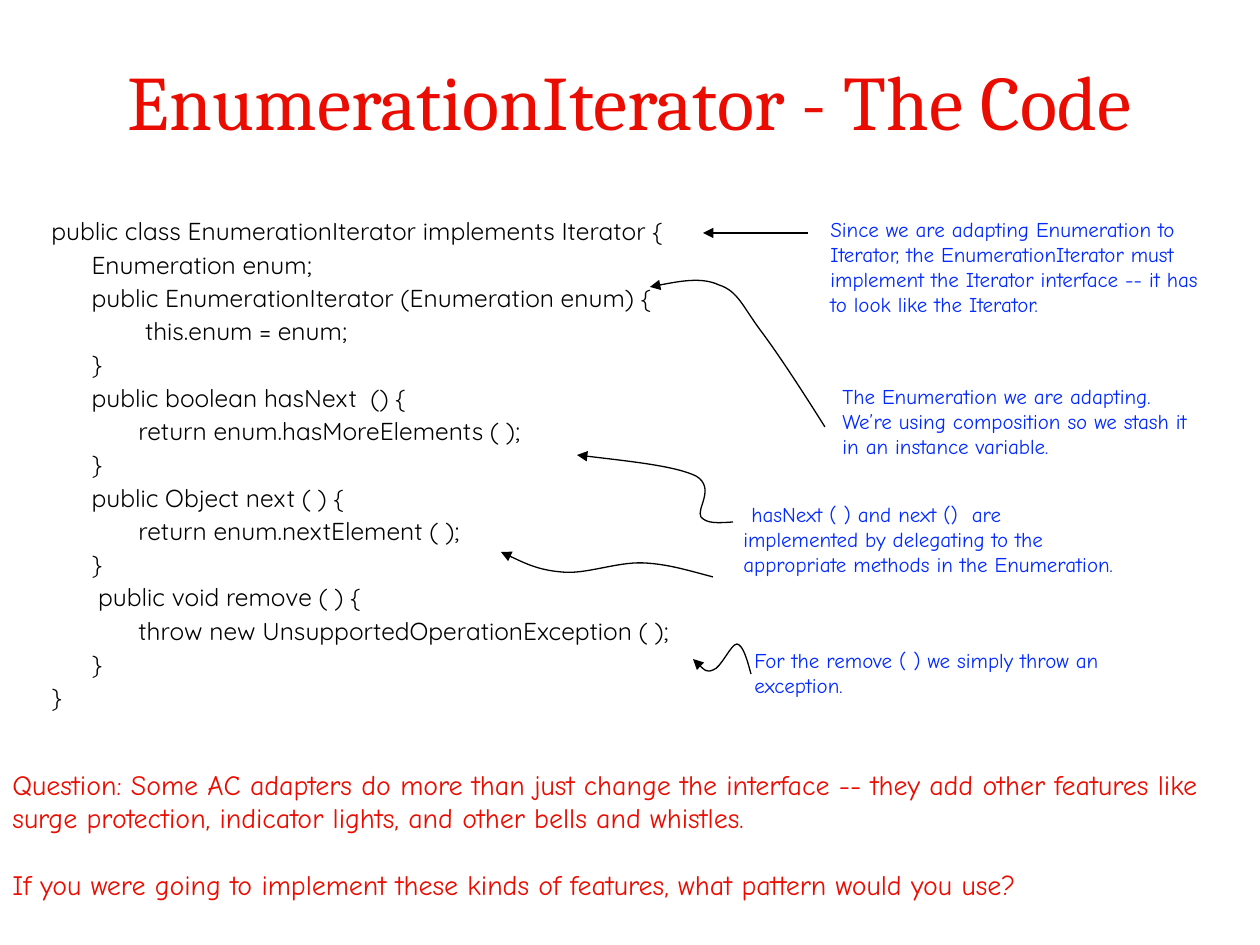
from lxml.etree import SubElement
from pptx import Presentation
from pptx.dml.color import RGBColor
from pptx.enum.shapes import MSO_CONNECTOR as Connector
from pptx.enum.text import MSO_ANCHOR as Anchor, MSO_AUTO_SIZE as AutoSize, PP_ALIGN as Align
from pptx.oxml.ns import qn
from pptx.util import Emu, Pt

PX_PER_INCH = 126
RED, BLUE, BLACK = "EA0C00", "0229FF", "000000"

CODE = [
    " public class EnumerationIterator implements Iterator {",
    "\tEnumeration enum;",
    "\tpublic EnumerationIterator (Enumeration enum) {",
    "               this.enum = enum;",
    "\t}",
    "\tpublic boolean hasNext  () {",
    "\t       return enum.hasMoreElements ( );",
    "\t}",
    "\tpublic Object next ( ) {",
    "\t       return enum.nextElement ( );",
    "\t}",
    "        public void remove ( ) {",
    "\t       throw new UnsupportedOperationException ( );",
    "\t}",
    " }",
]

# Box, text and first-line indent of each note
NOTES = [
    ((818, 210, 394, 159), "Since we are adapting Enumeration to Iterator, the EnumerationIterator "
     "must implement the Iterator interface -- it has to look like the Iterator.", 0),
    ((830, 377, 383, 101), "The Enumeration we are adapting. We’re using composition so we "
     "stash it in an instance variable.", 0),
    ((731, 495, 403, 130), "hasNext ( ) and next ()  are implemented by delegating to the "
     "appropriate methods in the Enumeration.", 8),
    ((742, 641, 403, 72), "For the remove ( ) we simply throw an exception.", 0),
]

# Start point, then three points for each Bézier segment
CURVES = [
    [(825, 427), (803, 392), (779, 355), (761, 331),
     (743, 307), (738, 291), (719, 285), (702, 277), (675, 282), (650, 287)],
    [(751, 674), (747, 659), (743, 645), (737, 644),
     (731, 644), (721, 668), (713, 670), (706, 673), (699, 665), (693, 659)],
    [(713, 577), (690, 571), (668, 564), (643, 563),
     (616, 562), (585, 575), (561, 572), (538, 570), (520, 561), (501, 552)],
    [(733, 522), (719, 523), (707, 524), (701, 517),
     (696, 509), (716, 488), (696, 476), (675, 466), (626, 461), (577, 455)],
]

QUESTIONS = [
    "Question: Some AC adapters do more than just change the interface -- they add other "
    "features like surge protection, indicator lights, and other bells and whistles.",
    "If you were going to implement these kinds of features, what pattern would you use?",
]


def px(length):
    return Emu(round(length * 914400 / PX_PER_INCH))


def color(hex_value):
    return RGBColor.from_string(hex_value)


def write(frame, lines, font, size, fill, align=Align.LEFT, anchor=Anchor.TOP,
          gap=0, margin=0, indent=0):
    """Fill a text frame, one paragraph a line; gap is in points, margin and indent in px."""
    frame.word_wrap = True
    frame.auto_size = AutoSize.NONE
    frame.vertical_anchor = anchor
    for index, line in enumerate(lines):
        paragraph = frame.add_paragraph() if index else frame.paragraphs[0]
        paragraph.alignment = align
        paragraph.space_before = Pt(gap if index else 0)
        properties = paragraph._p.get_or_add_pPr()
        properties.set("marL", str(px(margin)))
        properties.set("indent", str(px(indent)))
        SubElement(properties, qn("a:buNone"))
        run = paragraph.add_run()
        run.text = line
        run.font.name = font
        run.font.size = Pt(size)
        run.font.color.rgb = color(fill)


class CodeSlide:
    title_font, code_font, note_font = "Cambria", "Quicksand", "Comic Neue"
    line_width = 0.75

    def __init__(self, presentation):
        self.slide = presentation.slides.add_slide(presentation.slide_layouts[1])
        self.shapes = self.slide.shapes

    def place(self, shape, box):
        shape.left, shape.top, shape.width, shape.height = map(px, box)

    def title(self, text, box):
        shape = self.shapes.title
        self.place(shape, box)
        write(shape.text_frame, [text], self.title_font, 44, RED,
              align=Align.CENTER, anchor=Anchor.MIDDLE)

    def code(self, lines, box):
        shape = self.slide.placeholders[1]
        self.place(shape, box)
        write(shape.text_frame, lines, self.code_font, 14, BLACK,
              gap=2.2, margin=47, indent=-47)

    def text(self, lines, box, size, fill, **layout):
        shape = self.shapes.add_textbox(*map(px, box))
        write(shape.text_frame, lines, self.note_font, size, fill, **layout)

    def style_arrow(self, shape):
        shape.line.color.rgb = color(BLACK)
        shape.line.width = Pt(self.line_width)
        SubElement(shape.line._get_or_add_ln(), qn("a:tailEnd"), type="triangle")

    def arrow(self, start, end):
        connector = self.shapes.add_connector(Connector.STRAIGHT, *map(px, start + end))
        self.style_arrow(connector)
        SubElement(connector._element.spPr, qn("a:effectLst"))

    def curved_arrow(self, points):
        """Build straight segments, then merge every three into one Bézier segment."""
        builder = self.shapes.build_freeform(*points[0], scale=float(px(1)))
        builder.add_line_segments(points[1:], close=False)
        shape = builder.convert_to_shape()
        path = next(shape._element.iter(qn("a:path")))
        segments = path.findall(qn("a:lnTo"))
        for first in range(0, len(segments), 3):
            curve = SubElement(path, qn("a:cubicBezTo"))
            for segment in segments[first:first + 3]:
                curve.append(segment[0])
                path.remove(segment)
        shape.fill.background()
        self.style_arrow(shape)
        shape.shadow.inherit = False


def main():
    presentation = Presentation()
    presentation.slide_width, presentation.slide_height = px(1260), px(945)
    page = CodeSlide(presentation)
    page.title("EnumerationIterator - The Code", (42, 21, 1176, 158))
    page.code(CODE, (32, 210, 1197, 630))
    page.arrow((808, 233), (703, 233))
    for box, text, indent in NOTES:
        page.text([text], box, 12, BLUE, indent=indent)
    for points in CURVES:
        page.curved_arrow(points)
    page.text(QUESTIONS, (0, 761, 1229, 169), 16, RED, gap=19)
    presentation.save("out.pptx")


if __name__ == "__main__":
    main()
